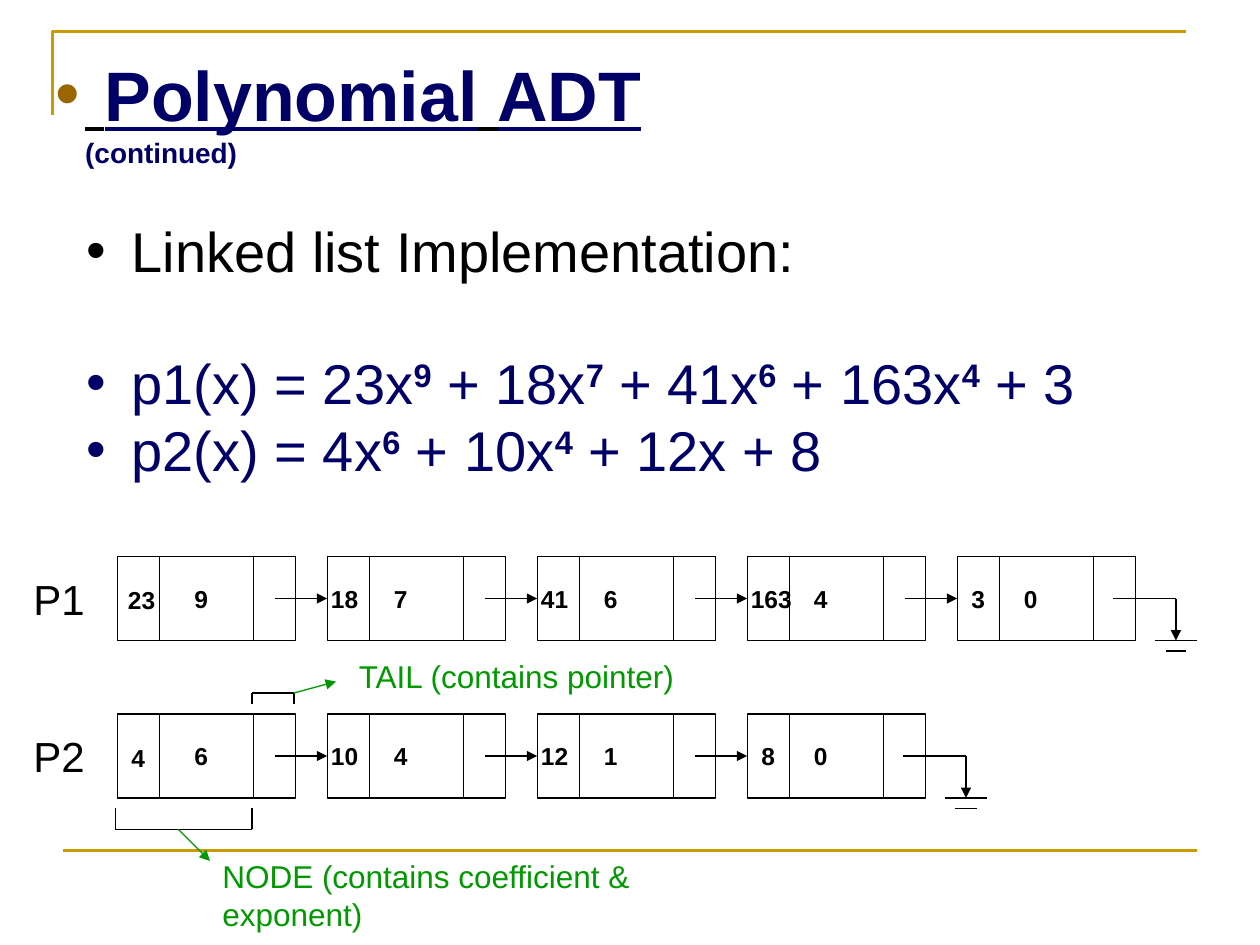
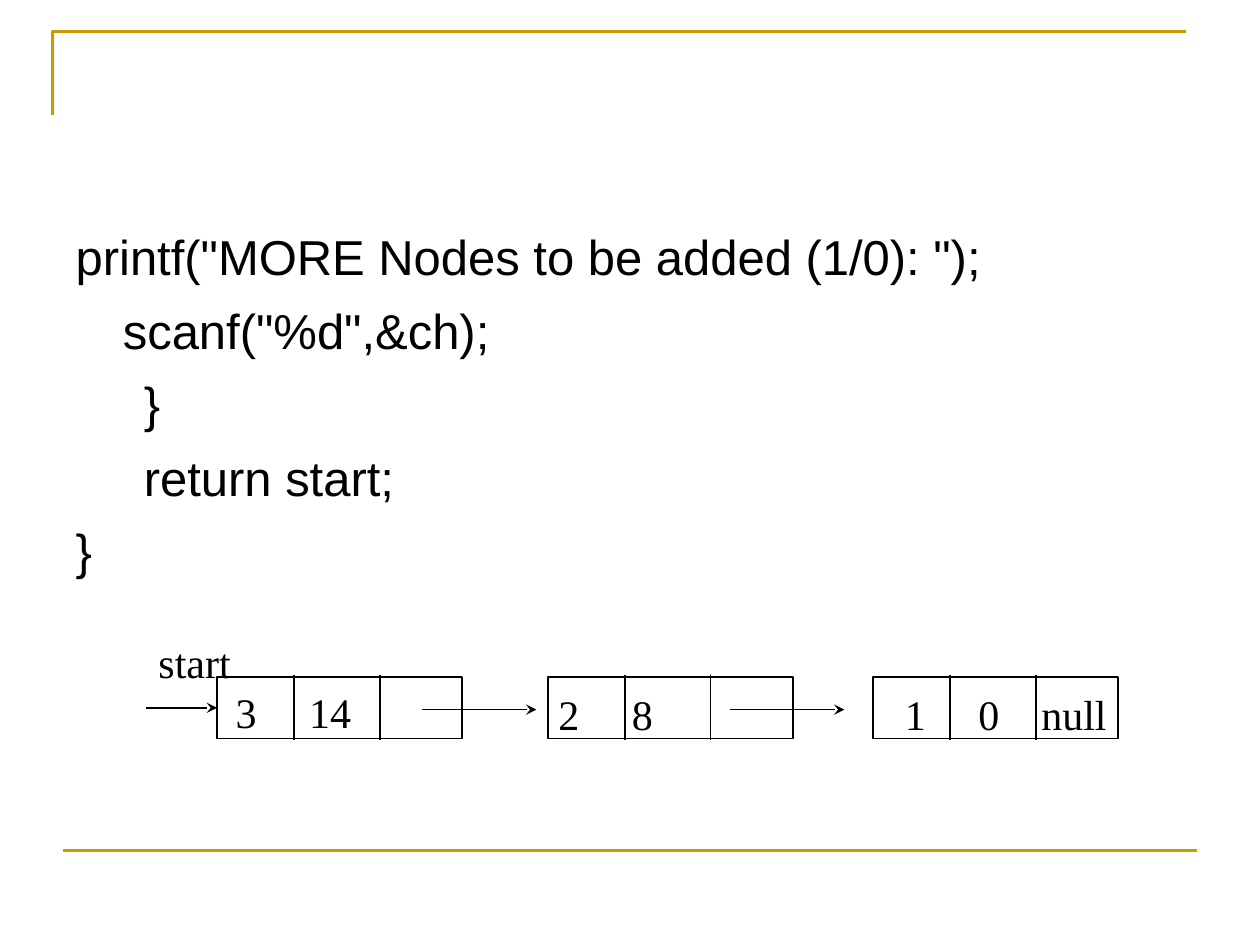
from itertools import pairwise

from lxml import etree
from pptx import Presentation
from pptx.dml.color import RGBColor
from pptx.enum import shapes, text
from pptx.oxml.ns import qn
from pptx.util import Pt

BLACK = RGBColor(0x00, 0x00, 0x00)
GOLD = RGBColor(0xCC, 0x99, 0x00)
BROWN = RGBColor(0x99, 0x66, 0x00)
NAVY = RGBColor(0x00, 0x00, 0x66)
GREEN = RGBColor(0x00, 0x99, 0x00)

HEADING = {"name": "Arial", "size": Pt(40), "bold": True, "underline": True}
CONTINUED = {"name": "Arial", "size": Pt(16), "bold": True, "underline": False}
BODY = {"name": "Arial", "size": Pt(32), "bold": False}
EXPONENT = {"name": "Arial", "size": Pt(32), "bold": True}
CODE = {"name": "Arial", "size": Pt(28)}
CELL = {"name": "Arial", "size": Pt(14), "bold": True}
LIST_NAME = {"name": "Arial", "size": Pt(24)}
CAPTION = {"name": "Arial", "size": Pt(18)}
SERIF = {"name": "Times New Roman", "size": Pt(24)}


def add_run(paragraph, words, font_format, color=BLACK):
    run = paragraph.add_run()
    run.text = words
    for name, value in font_format.items():
        setattr(run.font, name, value)
    run.font.color.rgb = color
    return run


def set_paragraph(paragraph, margin, hanging=0, bullet_color=None, before=0):
    layout = {"alignment": text.PP_ALIGN.LEFT, "space_before": Pt(before)}
    for name, value in layout.items():
        setattr(paragraph, name, value)
    properties = paragraph._p.get_or_add_pPr()
    properties.set("marL", str(Pt(margin)))
    properties.set("indent", str(Pt(-hanging)))
    if bullet_color is None:
        etree.SubElement(properties, qn("a:buNone"))
        return
    color = etree.SubElement(properties, qn("a:buClr"))
    etree.SubElement(color, qn("a:srgbClr"), val=str(bullet_color))
    etree.SubElement(properties, qn("a:buFont"), typeface="Arial")
    etree.SubElement(properties, qn("a:buChar"), char="•")


def place_placeholder(shape, left, top, width, height):
    box = {"left": left, "top": top, "width": width, "height": height}
    for name, value in box.items():
        setattr(shape, name, Pt(value))
    frame = shape.text_frame
    frame_format = {
        "word_wrap": True,
        "auto_size": text.MSO_AUTO_SIZE.NONE,
        "vertical_anchor": text.MSO_ANCHOR.TOP,
    }
    for name, value in frame_format.items():
        setattr(frame, name, value)
    return frame


def add_label(slide, words, left, top, width, height, font_format, color=BLACK, wrap=False):
    box = slide.shapes.add_textbox(Pt(left), Pt(top), Pt(width), Pt(height))
    box.text_frame.word_wrap = wrap
    add_run(box.text_frame.paragraphs[0], words, font_format, color)


def add_line(slide, start, end, color=BLACK, width=0.75, head=None):
    connector = slide.shapes.add_connector(
        shapes.MSO_CONNECTOR.STRAIGHT, *map(Pt, (*start, *end)))
    connector.line.color.rgb = color
    connector.line.width = Pt(width)
    properties = connector.element.spPr
    if head:
        etree.SubElement(properties.find(qn("a:ln")), qn("a:tailEnd"), type=head)
    etree.SubElement(properties, qn("a:effectLst"))
    return connector


def add_bracket(slide, points):
    for start, end in pairwise(points):
        add_line(slide, start, end)


def add_node(slide, left, top, width, height, dividers, line_width, overhang=0):
    node = slide.shapes.add_shape(
        shapes.MSO_SHAPE.RECTANGLE, Pt(left), Pt(top), Pt(width), Pt(height))
    node.shadow.inherit = False
    node.fill.background()
    node.line.color.rgb = BLACK
    node.line.width = Pt(line_width)
    for offset in dividers:
        x = left + offset
        add_line(slide, (x, top - overhang), (x, top + height + overhang), width=line_width)
    return node


def add_frame_to_layout(slide):
    builder = slide.shapes.build_freeform(Pt(30), Pt(66))
    builder.add_line_segments([(Pt(30), Pt(18)), (Pt(678), Pt(18))], close=False)
    corner = builder.convert_to_shape()
    corner.shadow.inherit = False
    corner.fill.background()
    corner.line.color.rgb = GOLD
    corner.line.width = Pt(1.5)
    footer_line = add_line(slide, (36, 486), (684, 486), GOLD, 1.5)
    for shape in (corner, footer_line):
        slide.slide_layout.shapes.element.append(shape.element)


def add_heading(slide):
    frame = place_placeholder(slide.shapes.title, 24.5, 26, 440, 55.5)
    paragraph = frame.paragraphs[0]
    set_paragraph(paragraph, 17, 17, BROWN)
    for words, color in ((" ", BLACK), ("Polynomial", NAVY), (" ", BLACK), ("ADT", NAVY)):
        add_run(paragraph, words, HEADING, color)
    add_run(paragraph, " ", {**HEADING, "underline": False}, NAVY)
    add_run(paragraph, "(continued)", CONTINUED, NAVY)


def add_polynomials(slide):
    frame = place_placeholder(slide.placeholders[1], 42, 120, 660, 160.5)
    lines = (
        ("Linked list Implementation:", BLACK, 0),
        ("p1(x) = 23x^9 + 18x^7 + 41x^6 + 163x^4 + 3", NAVY, 37),
        ("p2(x) = 4x^6 + 10x^4 + 12x + 8", NAVY, 0),
    )
    for index, (words, color, before) in enumerate(lines):
        paragraph = frame.add_paragraph() if index else frame.paragraphs[0]
        set_paragraph(paragraph, 26, 26, color, before)
        first, *powers = words.split("^")
        add_run(paragraph, first, BODY, color)
        for power in powers:
            exponent = add_run(paragraph, power[0], EXPONENT, color)
            exponent._r.get_or_add_rPr().set("baseline", "30000")
            if power[1:]:
                add_run(paragraph, power[1:], BODY, color)


def add_ground(slide, left, top):
    add_line(slide, (left + 36, top), (left, top))
    add_line(slide, (left + 36, top), (left + 36, top + 24), head="triangle")
    add_line(slide, (left + 24, top + 24), (left + 48, top + 24))
    add_line(slide, (left + 30, top + 30), (left + 42, top + 30))


def add_term_list(slide, name, terms, top, left=67, step=120):
    add_label(slide, name, 12, top + 6, 43.5, 36, LIST_NAME)
    for index, (coefficient, exponent) in enumerate(terms):
        x = left + index * step
        node = add_node(slide, x, top, 102, 48, (24, 78), 0.75)
        first = index == 0
        if len(coefficient) == 1:
            shift = 1
        else:
            shift = -1 if first else -5
        width = 14.5 + 7.7 * len(coefficient)
        add_label(slide, coefficient, x + shift, top + 12 + first, width, 24.5, CELL)
        add_label(slide, exponent, x + (37 if first else 31), top + 12, 22.2, 24.5, CELL)
        if not first:
            arrow = add_line(slide, (x - 30, top + 24), (x, top + 24), head="triangle")
            arrow.end_connect(node, 1)
    add_ground(slide, x + 89, top + 24)


def add_captions(slide):
    add_bracket(slide, [(66, 461.5), (66, 474), (144, 474), (144, 461.5)])
    add_line(slide, (102, 474), (120, 492), GREEN, head="triangle")
    add_label(slide, "NODE (contains coefficient & exponent)", 120, 486, 330, 29,
              CAPTION, GREEN, wrap=True)
    add_bracket(slide, [(144, 402.5), (144, 396), (168, 396), (168, 402.5)])
    add_line(slide, (168, 396), (192, 389.5), GREEN, head="triangle")
    add_label(slide, "TAIL (contains pointer)", 198, 372, 196, 29, CAPTION, GREEN)


def add_code(slide):
    frame = place_placeholder(slide.placeholders[1], 36, 126, 648, 356.5)
    lines = (
        ('printf("MORE Nodes to be added (1/0): ");', 0),
        ('scanf("%d",&ch);', 27),
        ("}", 39),
        ("return start;", 39),
        ("}", 0),
    )
    for index, (words, margin) in enumerate(lines):
        paragraph = frame.add_paragraph() if index else frame.paragraphs[0]
        set_paragraph(paragraph, margin, before=8.4)
        add_run(paragraph, words, CODE)


def add_result_list(slide, top=387):
    middle = top + 17.5
    nodes = (
        (124, 127.5, 2, ("3", "14")),
        (313, 312, 3, ("2", "8")),
        (499, 510, 3, ("1", "0")),
    )
    boxes = []
    for left, text_left, text_drop, values in nodes:
        boxes.append(add_node(slide, left, top, 140, 35, (44, 93), 1, overhang=1))
        for index, value in enumerate(values):
            add_label(slide, value, text_left + 42 * index, top + text_drop,
                      14.4 + 12 * len(value), 36, SERIF)
    add_label(slide, "null", 588, top + 3, 52, 36, SERIF)
    add_label(slide, "start", 83.5, 360, 56, 36, SERIF)
    entry = add_line(slide, (83.5, middle), (124, middle), width=1, head="stealth")
    entry.end_connect(boxes[0], 1)
    for start in (241, 417):
        add_line(slide, (start, middle + 1), (start + 65.5, middle + 1), width=1, head="stealth")


def main():
    presentation = Presentation()
    presentation.slide_width = Pt(720)
    presentation.slide_height = Pt(540)
    layout = presentation.slide_layouts[1]

    polynomial_slide = presentation.slides.add_slide(layout)
    add_frame_to_layout(polynomial_slide)
    add_heading(polynomial_slide)
    add_polynomials(polynomial_slide)
    p1 = (("23", "9"), ("18", "7"), ("41", "6"), ("163", "4"), ("3", "0"))
    p2 = (("4", "6"), ("10", "4"), ("12", "1"), ("8", "0"))
    add_term_list(polynomial_slide, "P1", p1, 318)
    add_term_list(polynomial_slide, "P2", p2, 408)
    add_captions(polynomial_slide)

    code_slide = presentation.slides.add_slide(layout)
    title = code_slide.shapes.title.element
    title.getparent().remove(title)
    add_code(code_slide)
    add_result_list(code_slide)

    presentation.save("out.pptx")


if __name__ == "__main__":
    main()
